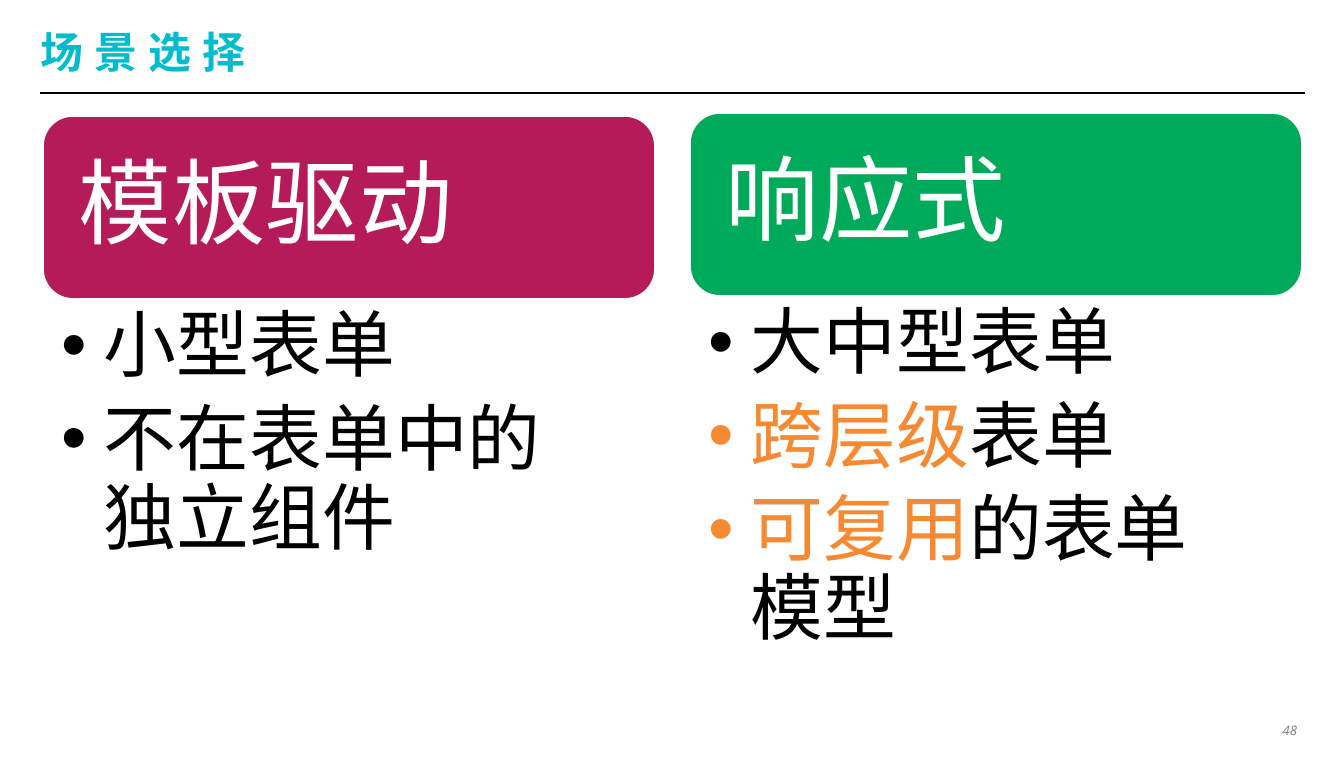
import pptx
import pptx.util
import pptx.dml.color
import pptx.enum.shapes
import pptx.enum.text
import pptx.oxml.ns
import lxml.etree

RGB = pptx.dml.color.RGBColor
ALIGN = pptx.enum.text.PP_ALIGN
ANCHOR = pptx.enum.text.MSO_ANCHOR
SHAPE = pptx.enum.shapes.MSO_SHAPE
LINK = pptx.enum.shapes.MSO_CONNECTOR
Pt = pptx.util.Pt
qn = pptx.oxml.ns.qn

BLACK = RGB(0x00, 0x00, 0x00)
WHITE = RGB(0xFF, 0xFF, 0xFF)
TEAL = RGB(0x00, 0xBC, 0xCD)
PINK = RGB(0xB5, 0x1B, 0x58)
GREEN = RGB(0x00, 0xAA, 0x5B)
ORANGE = RGB(0xF5, 0x8A, 0x33)
GREY = RGB(0x80, 0x81, 0x84)


def px(n):
    return round(n * 914400 / 134.4)


class Deck:
    body = "Arial"
    head = "Noto Sans CJK JP"
    note = "Open Sans"

    def __init__(self, wide, high):
        self.file = pptx.Presentation()
        self.file.slide_width = px(wide)
        self.file.slide_height = px(high)
        self.slide = self.file.slides.add_slide(self.file.slide_layouts[6])

    def rule(self, x, y, end):
        line = self.slide.shapes.add_connector(
            LINK.STRAIGHT, px(x), px(y), px(end), px(y))
        line.line.color.rgb = BLACK
        line.line.width = Pt(1)
        lxml.etree.SubElement(line._element.spPr, qn("a:effectLst"))

    def card(self, x, y, w, h, fill):
        card = self.slide.shapes.add_shape(
            SHAPE.ROUNDED_RECTANGLE, px(x), px(y), px(w), px(h))
        card.shadow.inherit = False
        card.fill.solid()
        card.fill.fore_color.rgb = fill
        card.line.color.rgb = WHITE
        card.line.width = Pt(2)

    def frame(self, box, pad, anchor=ANCHOR.TOP, wrap=True):
        """Add a text box; pad is left, top, right, bottom."""
        frame = self.slide.shapes.add_textbox(*map(px, box)).text_frame
        (frame.margin_left, frame.margin_top,
         frame.margin_right, frame.margin_bottom) = map(px, pad)
        frame.vertical_anchor = anchor
        frame.word_wrap = wrap
        return frame

    def style(self, para, size, name, color=None):
        font = para.font
        font.size = Pt(size)
        font.name = name
        if color is not None:
            font.color.rgb = color
        lxml.etree.SubElement(font._element, qn("a:ea"), typeface=name)
        return font

    def label(self, text, box, pad, size, name, color,
              anchor=ANCHOR.MIDDLE, wrap=True):
        para = self.frame(box, pad, anchor, wrap).paragraphs[0]
        para.text = text
        return para, self.style(para, size, name, color)

    def bullets(self, items, box):
        """Each item is a list of (text, colour) runs."""
        frame = self.frame(box, (20, 9, 52, 9))
        for i, item in enumerate(items):
            para = frame.add_paragraph() if i else frame.paragraphs[0]
            para.line_spacing = 0.9
            para.space_after = Pt(8)
            props = para._p.get_or_add_pPr()
            props.set("marL", str(px(42)))
            props.set("indent", str(-px(42)))
            lxml.etree.SubElement(props, qn("a:buFont"), typeface=self.body)
            lxml.etree.SubElement(props, qn("a:buChar"), char="•")
            self.style(para, 39, self.body)
            for text, color in item:
                run = para.add_run()
                run.text = text
                run.font.color.rgb = color

    def column(self, x, y, title, fill, items, high):
        self.card(x, y, 614, 185, fill)
        para, _ = self.label(title, (x + 9, y + 9, 597, 167), (28,) * 4,
                             50, self.body, WHITE)
        para.line_spacing = 0.9
        para.space_after = Pt(17.5)
        self.bullets(items, (x, y + 185, 614, high))


def main():
    deck = Deck(1344, 757)
    deck.rule(40, 93, 1305)
    _, font = deck.label("场景选择", (40, 23, 1265, 56), (0,) * 4,
                         23, deck.head, TEAL)
    font.bold = True
    font._element.set("spc", "600")

    deck.column(42, 115, "模板驱动", PINK, [
        [("小型表单", BLACK)],
        [("不在表单中的独立组件", BLACK)],
    ], 297)
    deck.column(689, 112, "响应式", GREEN, [
        [("大中型表单", BLACK)],
        [("跨层级", ORANGE), ("表单", BLACK)],
        [("可复用", ORANGE), ("的表单模型", BLACK)],
    ], 403)

    para, font = deck.label("48", (1277, 718, 28, 23), (0, 4, 8, 4),
                            7, deck.note, GREY, ANCHOR.TOP, False)
    para.alignment = ALIGN.RIGHT
    font.italic = True
    deck.file.save("out.pptx")


if __name__ == "__main__":
    main()
